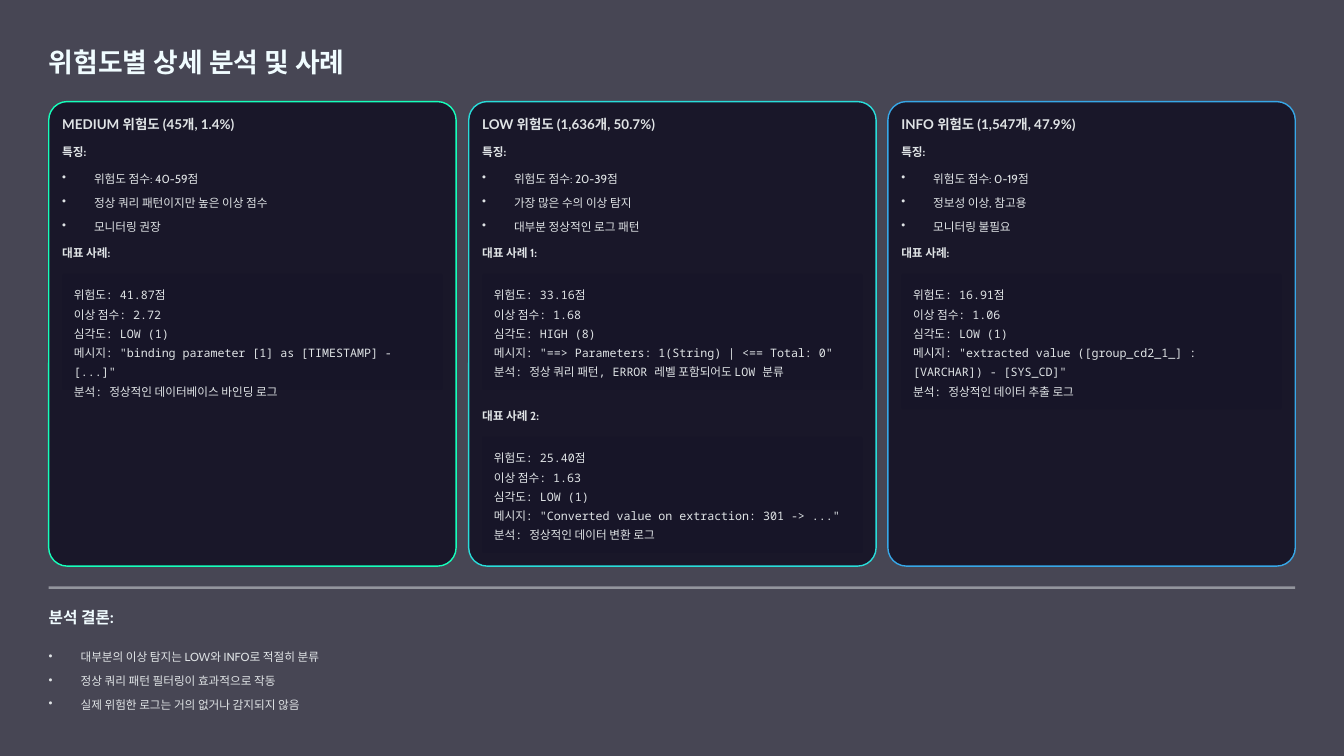
"""Build the slide on detailed analysis and cases by risk level."""
from lxml import etree
from pptx import Presentation
from pptx.dml.color import RGBColor
from pptx.enum.shapes import MSO_SHAPE
from pptx.oxml.ns import qn
from pptx.util import Pt

PX = 9144
RECT = MSO_SHAPE.RECTANGLE
ROUNDED = MSO_SHAPE.ROUNDED_RECTANGLE
BACKDROP, DARK, CODE = "474654", "0A081B", "171528"
WHITE, GREY = "F0FCFF", "E0E4E6"

prs = Presentation()
prs.slide_width = 1600 * PX
prs.slide_height = 900 * PX
s = prs.slides.add_slide(prs.slide_layouts[6])
s.background.fill.solid()
s.background.fill.fore_color.rgb = RGBColor.from_string(BACKDROP)


def add_panel(x, y, w, h, fill, kind=ROUNDED, radius=0, alpha=100, line=None):
    sp = s.shapes.add_shape(kind, x * PX, y * PX, w * PX, h * PX)
    sp.shadow.inherit = False
    if kind == ROUNDED:
        sp.adjustments[0] = radius / min(w, h)
    sp.fill.solid()
    sp.fill.fore_color.rgb = RGBColor.from_string(fill)
    if alpha < 100:
        clr = sp.fill._xPr.find(qn("a:solidFill"))[0]
        etree.SubElement(clr, qn("a:alpha")).set("val", str(alpha * 1000))
    if line:
        sp.line.color.rgb = RGBColor.from_string(line)
        sp.line.width = Pt(1.2)
    else:
        sp.line.fill.background()


def add_text(lines, x, y, w, h, size=10, font="Cabin", color=GREY, bold=False,
             leading=16.5, gap=0, bullet=False):
    tf = s.shapes.add_textbox(x * PX, y * PX, w * PX, h * PX).text_frame
    tf.margin_left = tf.margin_right = tf.margin_top = tf.margin_bottom = 0
    tf.word_wrap = True
    for i, line in enumerate(lines):
        p = tf.add_paragraph() if i else tf.paragraphs[0]
        p.line_spacing = Pt(leading)
        if i and gap:
            p.space_before = Pt(gap)
        if bullet:
            pPr = p._p.get_or_add_pPr()
            pPr.set("marL", str(38 * PX))
            pPr.set("indent", str(-38 * PX))
            etree.SubElement(pPr, qn("a:buChar")).set("char", "•")
        r = p.add_run()
        r.text = line
        r.font.size = Pt(size)
        r.font.name = font
        r.font.bold = bold
        r.font.color.rgb = RGBColor.from_string(color)


cards = [
    ("MEDIUM 위험도 (45개, 1.4%)", "16FFBB",
     ["위험도 점수: 40-59점", "정상 쿼리 패턴이지만 높은 이상 점수", "모니터링 권장"],
     [("대표 사례:", 138,
       ["위험도: 41.87점", "이상 점수: 2.72", "심각도: LOW (1)",
        '메시지: "binding parameter [1] as [TIMESTAMP] - [...]"',
        "분석: 정상적인 데이터베이스 바인딩 로그"])]),
    ("LOW 위험도 (1,636개, 50.7%)", "29DDDA",
     ["위험도 점수: 20-39점", "가장 많은 수의 이상 탐지", "대부분 정상적인 로그 패턴"],
     [("대표 사례 1:", 138,
       ["위험도: 33.16점", "이상 점수: 1.68", "심각도: HIGH (8)",
        '메시지: "==> Parameters: 1(String) | <== Total: 0"',
        "분석: 정상 쿼리 패턴, ERROR 레벨 포함되어도 LOW 분류"]),
      ("대표 사례 2:", 138,
       ["위험도: 25.40점", "이상 점수: 1.63", "심각도: LOW (1)",
        '메시지: "Converted value on extraction: 301 -> ..."',
        "분석: 정상적인 데이터 변환 로그"])]),
    ("INFO 위험도 (1,547개, 47.9%)", "37A7E7",
     ["위험도 점수: 0-19점", "정보성 이상, 참고용", "모니터링 불필요"],
     [("대표 사례:", 161,
       ["위험도: 16.91점", "이상 점수: 1.06", "심각도: LOW (1)",
        '메시지: "extracted value ([group_cd2_1_] : [VARCHAR]) - [SYS_CD]"',
        "분석: 정상적인 데이터 추출 로그"])]),
]

add_text(["위험도별 상세 분석 및 사례"], 58, 52, 400, 40, size=23, font="Lato",
         color=WHITE, bold=True, leading=29)

for col, (title, accent, traits, cases) in enumerate(cards):
    left = round(58 + col * 499.5)
    x = left + 16
    add_panel(left, 121, 485, 553, DARK, radius=22, alpha=75, line=accent)
    add_text([title], x, 137, 260, 20, size=11.5, font="Lato", bold=True, leading=14.5)
    add_text(["특징:"], x, 166, 453, 23, bold=True)
    add_text(traits, x, 198, 453, 80, gap=4, bullet=True)
    for row, (label, height, log) in enumerate(cases):
        y = 287 + row * 194
        add_text([label], x, y, 453, 23, bold=True)
        add_panel(x, y + 39, 453, height, CODE, radius=2)
        add_text(log, x + 14, y + 50, 425, height - 22, font="Noto Sans Mono")

add_panel(58, 698, 1484, 3, GREY, kind=RECT, alpha=50)
add_text(["분석 결론:"], 58, 722, 194, 24, size=13.5, font="Lato", color=WHITE,
         bold=True, leading=17)
add_text(["대부분의 이상 탐지는 LOW와 INFO로 적절히 분류",
          "정상 쿼리 패턴 필터링이 효과적으로 작동",
          "실제 위험한 로그는 거의 없거나 감지되지 않음"],
         58, 768, 1484, 80, gap=4, bullet=True)

prs.save("out.pptx")
